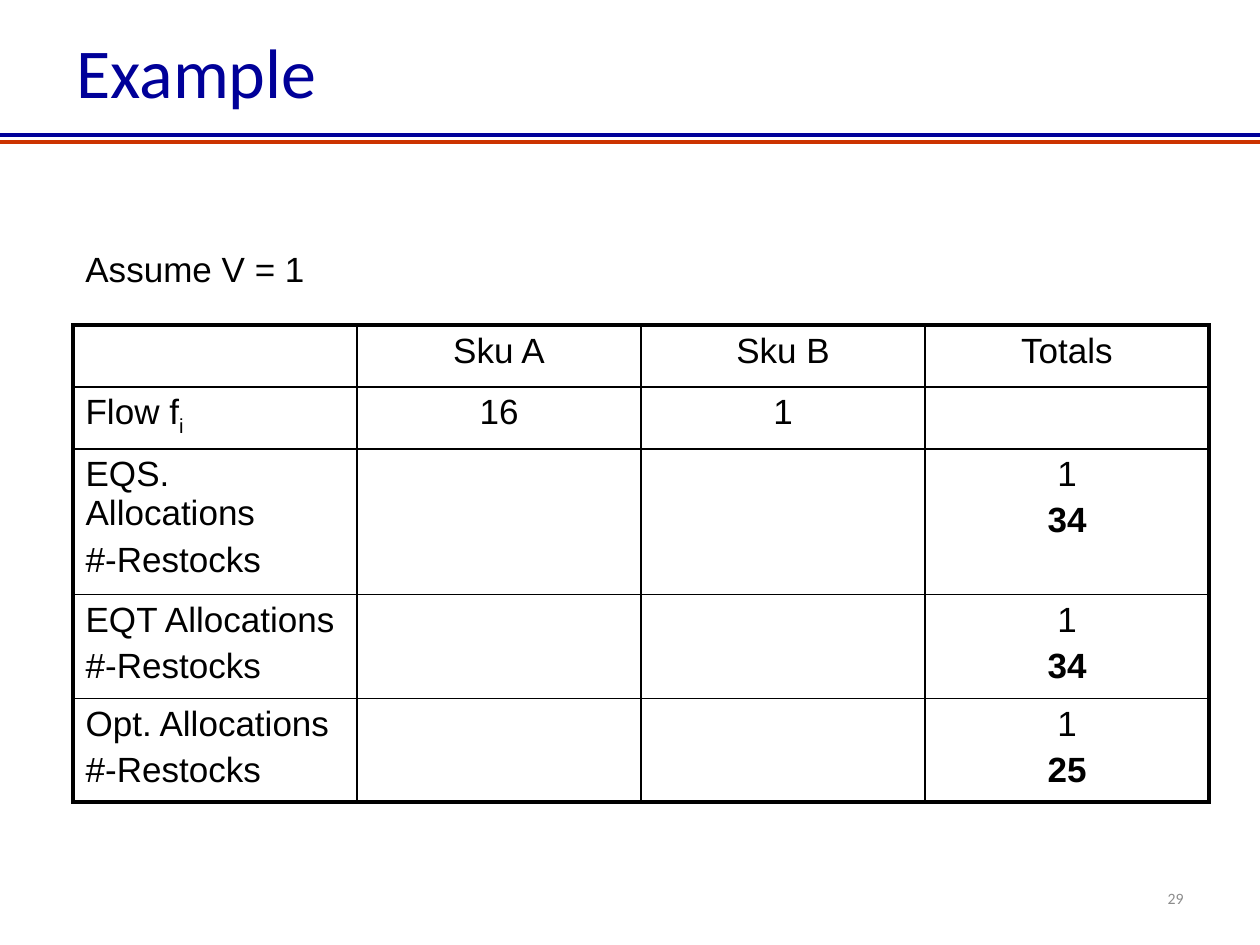
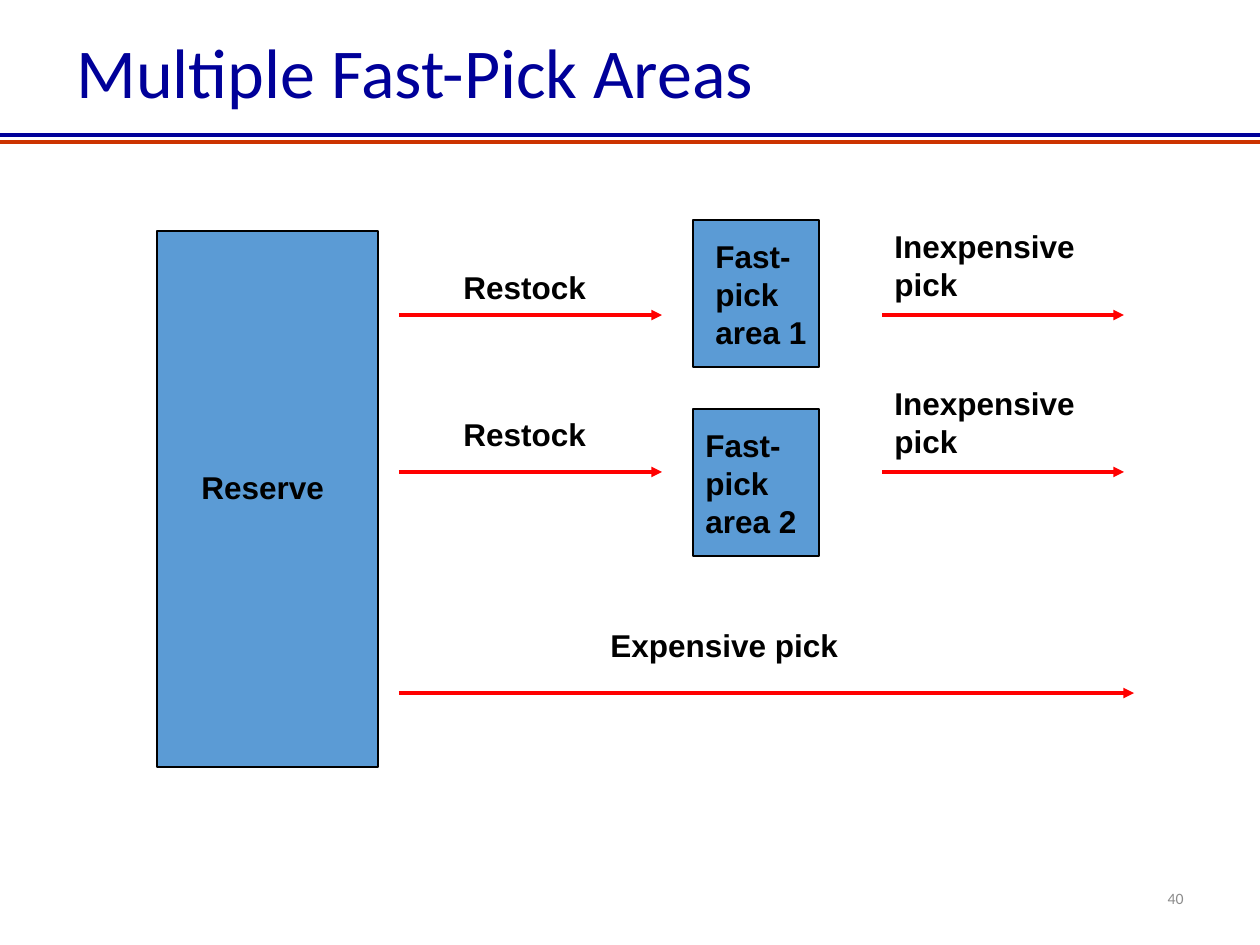
from pptx import Presentation
from pptx.dml.color import RGBColor as RGB
from pptx.enum.shapes import MSO_CONNECTOR as Conn, MSO_SHAPE as Form
from pptx.enum.text import MSO_ANCHOR as Anchor, PP_ALIGN as Align
from pptx.oxml.ns import qn
from pptx.util import Emu, Pt
from lxml.etree import SubElement as Sub

SCALE = 914400 / 126
NAVY, RUST, RED, BLUE = "000099", "CC3300", "FF0000", "5B9BD5"
BLACK, GREY = "000000", "8C8C8C"
HEAD, BODY = "Calibri", "Arial"


def px(n):
    return Emu(round(n * SCALE))


def color(code):
    return RGB.from_string(code)


def style(run, size, font=BODY, ink=BLACK, bold=False):
    run.font.size = Pt(size)
    run.font.name = font
    run.font.bold = bold
    run.font.color.rgb = color(ink)


def text(slide, box, words, size, font=BODY, ink=BLACK, bold=False,
         align=Align.LEFT, anchor=Anchor.TOP, gap=None):
    frame = slide.shapes.add_textbox(*map(px, box)).text_frame
    frame.word_wrap = True
    frame.vertical_anchor = anchor
    frame.text = words
    par = frame.paragraphs[0]
    par.alignment = align
    par.line_spacing = gap
    style(par.runs[0], size, font, ink, bold)


def line(slide, start, end, ink, width, arrow=False):
    link = slide.shapes.add_connector(Conn.STRAIGHT, *map(px, start + end))
    link.line.color.rgb = color(ink)
    link.line.width = Pt(width)
    props = link._element.spPr
    if arrow:
        Sub(props.find(qn("a:ln")), qn("a:tailEnd"), type="triangle")
    Sub(props, qn("a:effectLst"))


def block(slide, box):
    shape = slide.shapes.add_shape(Form.RECTANGLE, *map(px, box))
    shape.shadow.inherit = False
    shape.fill.solid()
    shape.fill.fore_color.rgb = color(BLUE)
    shape.line.color.rgb = color(BLACK)
    shape.line.width = Pt(0.75)


def label(slide, box, words):
    text(slide, box, words, 18, bold=True)


def arrow(slide, left, right, y):
    line(slide, (left, y), (right, y), RED, 2, arrow=True)


def page(deck, title, number):
    """Add a slide with the shared rules, title and page number."""
    slide = deck.slides.add_slide(deck.slide_layouts[6])
    for y, ink in ((135, NAVY), (142, RUST)):
        line(slide, (0, y), (1260, y), ink, 2.25)
    text(slide, (64, 16, 1132, 119), title, 40, HEAD, NAVY,
         anchor=Anchor.MIDDLE, gap=0.9)
    text(slide, (912, 873, 284, 50), str(number), 9, HEAD, GREY,
         align=Align.RIGHT, anchor=Anchor.MIDDLE)
    return slide


def border(cell, outer):
    """Draw four edges, thick on the sides named in outer."""
    props = cell._tc.get_or_add_tcPr()
    for spot, side in enumerate("LRTB"):
        width = Pt(2.25 if side in outer else 1)
        edge = props.makeelement(qn(f"a:ln{side}"), {"w": str(width)})
        fill = Sub(edge, qn("a:solidFill"))
        Sub(fill, qn("a:srgbClr"), val=BLACK)
        props.insert(spot, edge)


def table(slide, left, top, width, heights, rows):
    count = len(rows[0])
    grid = slide.shapes.add_table(len(rows), count, px(left), px(top),
                                  px(width * count), px(sum(heights))).table
    for col in grid.columns:
        col.width = px(width)
    for r, (high, row) in enumerate(zip(heights, rows)):
        grid.rows[r].height = px(high)
        for c, words in enumerate(row):
            cell = grid.cell(r, c)
            cell.fill.background()
            sides = (("L", c == 0), ("R", c == count - 1),
                     ("T", r == 0), ("B", r == len(rows) - 1))
            border(cell, [side for side, on in sides if on])
            if not words:
                continue
            cell.text_frame.text = words
            for n, par in enumerate(cell.text_frame.paragraphs):
                par.alignment = Align.CENTER if c else Align.LEFT
                par.space_before = Pt(4 if n else 0)
                style(par.runs[0], 20, bold=c > 0 and n > 0)
    return grid


def example(deck):
    slide = page(deck, "Example", 29)
    rows = [["", "Sku A", "Sku B", "Totals"], ["Flow f", "16", "1", ""]]
    for name, total in (("EQS.", 34), ("EQT", 34), ("Opt.", 25)):
        rows.append([f"{name} Allocations\n#-Restocks", "", "", f"1\n{total}"])
    grid = table(slide, 73, 325, 284, (62, 62, 137, 103, 98), rows)
    sub = grid.cell(1, 0).text_frame.paragraphs[0].add_run()
    sub.text = "i"
    style(sub, 20)
    sub.font._element.set("baseline", "-25000")
    text(slide, (73, 241, 683, 54), "Assume V = 1", 20)


def areas(deck):
    slide = page(deck, "Multiple Fast-Pick Areas", 40)
    block(slide, (157, 231, 221, 536))
    label(slide, (189, 462, 168, 50), "Reserve")
    lanes = ((315, 220, 703, 262), (472, 409, 693, 409))
    for n, (y, top, left, stock) in enumerate(lanes, 1):
        block(slide, (693, top, 126, 147))
        label(slide, (left, top + 11, 147, 126), f"Fast-pick area {n}")
        label(slide, (451, stock, 158, 50), "Restock")
        label(slide, (882, y - 94, 210, 88), "Inexpensive pick")
        arrow(slide, 399, 662, y)
        arrow(slide, 882, 1124, y)
    label(slide, (598, 620, 294, 50), "Expensive pick")
    arrow(slide, 399, 1134, 693)


def main():
    deck = Presentation()
    deck.slide_width, deck.slide_height = px(1260), px(945)
    example(deck)
    areas(deck)
    deck.save("out.pptx")


if __name__ == "__main__":
    main()
